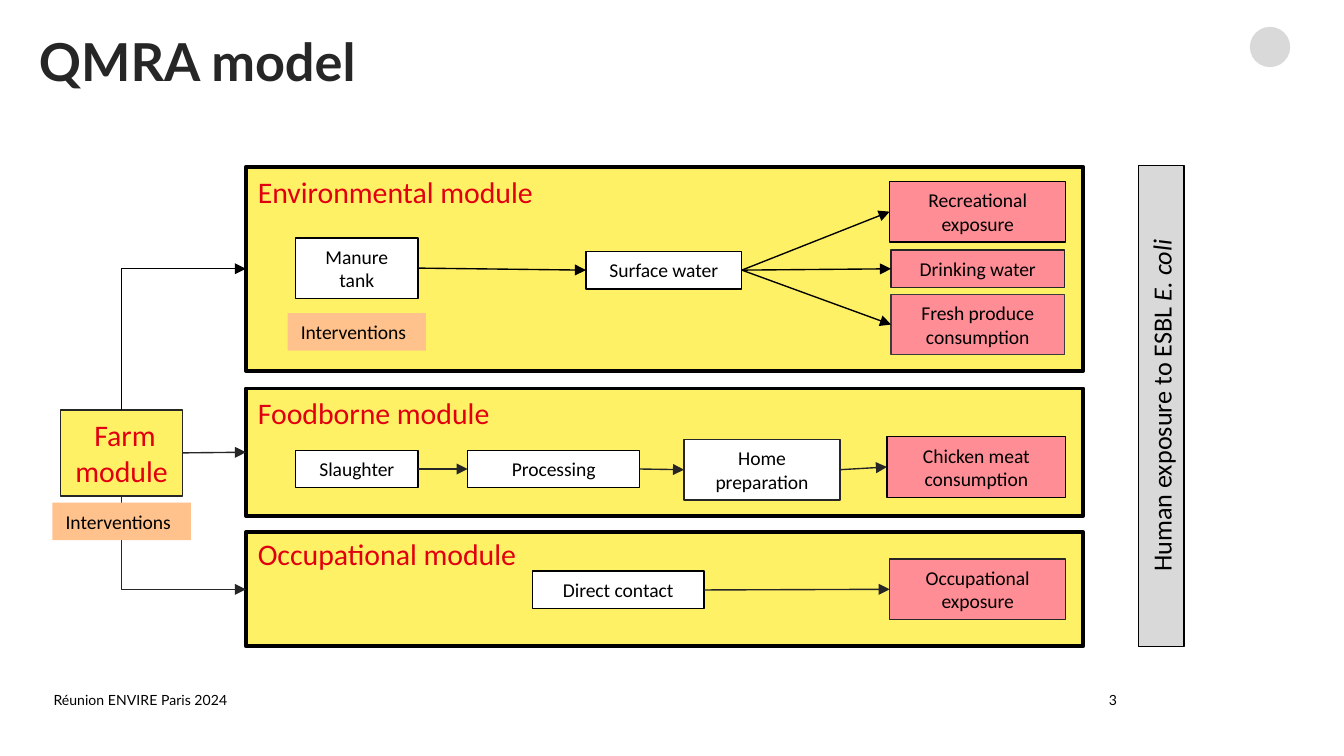
from lxml.etree import SubElement
from pptx import Presentation
from pptx.dml.color import RGBColor
from pptx.enum.shapes import MSO_CONNECTOR as Connector, MSO_SHAPE as Shape
from pptx.enum.text import MSO_ANCHOR as Anchor, PP_ALIGN as Align
from pptx.oxml.ns import qn
from pptx.util import Inches, Pt

COLORS = {
    "yellow": "FFF166", "pink": "FF8D95", "orange": "FFC28C", "white": "FFFFFF",
    "grey": "D9D9D9", "red": "E1000F", "dark": "262626", "slate": "3C3C3C",
    "black": "000000",
}
TOP, LEFT, BOTTOM, RIGHT = range(4)


def color(name):
    """Return the named palette colour."""
    return RGBColor.from_string(COLORS[name])


def write(shape, text, size, font="Calibri", ink="black", align=Align.CENTER,
          anchor=Anchor.MIDDLE):
    """Fill a shape with one formatted paragraph and return the paragraph."""
    frame = shape.text_frame
    frame.text = text
    frame.word_wrap = True
    frame.vertical_anchor = anchor
    paragraph = frame.paragraphs[0]
    paragraph.alignment = align
    for run in paragraph.runs:
        run.font.size = Pt(size)
        run.font.name = font
        run.font.color.rgb = color(ink)
    return paragraph


def add_label(slide, box, text, size, **style):
    """Add a text box and return its paragraph."""
    shape = slide.shapes.add_textbox(*map(Inches, box))
    style = {"align": Align.LEFT, "anchor": Anchor.TOP, **style}
    return write(shape, text, size, **style)


def add_box(slide, box, fill, line="black", weight=0.75, kind=Shape.RECTANGLE):
    """Add a flat shape, outlined unless line is None."""
    shape = slide.shapes.add_shape(kind, *map(Inches, box))
    shape.shadow.inherit = False
    shape.fill.solid()
    shape.fill.fore_color.rgb = color(fill)
    if line:
        shape.line.color.rgb = color(line)
        shape.line.width = Pt(weight)
    else:
        shape.line.fill.background()
    return shape


def add_step(slide, box, text, fill="white", line="black"):
    """Add a small captioned box of the flow."""
    shape = add_box(slide, box, fill, line)
    write(shape, text, 10.5)
    return shape


def add_interventions(slide, left, top):
    """Add the orange interventions tag."""
    shape = add_box(slide, (left, top, 1.03, 0.28), "orange", None)
    write(shape, "Interventions", 10.5, align=Align.LEFT)


def add_arrow(slide, source, target, ink="dark", side=RIGHT, kind=Connector.STRAIGHT):
    """Connect a side of the source to the left side of the target."""
    arrow = slide.shapes.add_connector(kind, 0, 0, 0, 0)
    arrow.begin_connect(source, side)
    arrow.end_connect(target, LEFT)
    arrow.line.color.rgb = color(ink)
    arrow.line.width = Pt(0.75)
    SubElement(arrow.line._get_or_add_ln(), qn("a:tailEnd"), type="triangle")
    SubElement(arrow._element.spPr, qn("a:effectLst"))
    return arrow


def add_elbow(slide, source, target, side, ink):
    """Add a one-bend arrow that leaves the source vertically."""
    arrow = add_arrow(slide, source, target, ink, side, Connector.ELBOW)
    center_x = arrow.left + arrow.width // 2
    center_y = arrow.top + arrow.height // 2
    arrow.width, arrow.height = arrow.height, arrow.width
    arrow.left = center_x - arrow.width // 2
    arrow.top = center_y - arrow.height // 2
    properties = arrow._element.spPr
    properties.find(qn("a:prstGeom")).set("prst", "bentConnector2")
    transform = properties.find(qn("a:xfrm"))
    transform.set("rot", str((90 if side == TOP else 270) * 60000))
    transform.set("flipH", "1")
    transform.set("flipV", "1" if side == TOP else "0")


def add_module(slide, box, title, title_width, title_shift=0):
    """Add a yellow module panel with its red heading."""
    left, top = box[:2]
    panel = add_box(slide, box, "yellow", weight=2)
    heading = (left - 0.01, top + title_shift, title_width, 0.37)
    add_label(slide, heading, title, 16, ink="red")
    return panel


def add_environmental(slide, box):
    """Build the environmental module and return its panel."""
    left, top = box[:2]
    panel = add_module(slide, box, "Environmental module", 2.34)
    tank = add_step(slide, (left + 0.37, top + 0.53, 0.91, 0.45), "Manure tank")
    water = add_step(slide, (left + 2.53, top + 0.63, 1.16, 0.28), "Surface water")
    add_interventions(slide, left + 0.31, top + 1.09)
    add_arrow(slide, tank, water, "black")
    exposures = [
        ("Recreational exposure", 4.79, 0.11, 1.31, 0.45, "black"),
        ("Drinking water", 4.8, 0.62, 1.29, 0.28, "dark"),
        ("Fresh produce consumption", 4.8, 0.95, 1.29, 0.45, "slate"),
    ]
    for text, x, y, width, height, line in exposures:
        exposure = add_step(slide, (left + x, top + y, width, height), text, "pink", line)
        add_arrow(slide, water, exposure, "black")
    return panel


def add_foodborne(slide, box):
    """Build the foodborne module and return its panel."""
    left, top = box[:2]
    panel = add_module(slide, box, "Foodborne module", 2.08)
    steps = [
        ("Slaughter", 0.37, 0.46, 0.91, 0.28, "white", "black"),
        ("Processing", 1.65, 0.46, 1.28, 0.28, "white", "black"),
        ("Home preparation", 3.26, 0.38, 1.16, 0.45, "white", "dark"),
        ("Chicken meat consumption", 4.77, 0.36, 1.33, 0.45, "pink", "black"),
    ]
    shapes = [add_step(slide, (left + x, top + y, width, height), text, fill, line)
              for text, x, y, width, height, fill, line in steps]
    for source, target in zip(shapes, shapes[1:]):
        add_arrow(slide, source, target)
    return panel


def add_occupational(slide, box):
    """Build the occupational module and return its panel."""
    left, top = box[:2]
    panel = add_module(slide, box, "Occupational module", 3.23, -0.02)
    contact = add_step(slide, (left + 2.13, top + 0.29, 1.28, 0.28), "Direct contact")
    exposure = add_step(slide, (left + 4.79, top + 0.2, 1.31, 0.45),
                        "Occupational exposure", "pink", "dark")
    add_arrow(slide, contact, exposure)
    return panel


def add_farm(slide, box, environmental, foodborne, occupational):
    """Build the farm module and link it to the three others."""
    left, top, width, height = box
    farm = add_box(slide, box, "yellow", "dark")
    write(farm, " Farm module", 16, ink="red")
    add_elbow(slide, farm, environmental, TOP, "black")
    add_arrow(slide, farm, foodborne)
    add_elbow(slide, farm, occupational, BOTTOM, "dark")
    add_interventions(slide, left - 0.06, top + height + 0.05)


def add_exposure_bar(slide, box):
    """Add the vertical bar naming the overall outcome."""
    left, top, width, height = box
    flat = (left + (width - height) / 2, top + (height - width) / 2, height, width)
    bar = add_box(slide, flat, "grey")
    bar.rotation = 270
    paragraph = write(bar, "Human exposure to ESBL ", 14)
    species = paragraph.add_run()
    species.text = "E. coli"
    species.font.size = Pt(14)
    species.font.name = "Calibri"
    species.font.italic = True
    species.font.color.rgb = color("black")


def add_page_frame(slide, box):
    """Add the title, emblem, footer and page number."""
    left, top, width, height = box
    title = slide.shapes.add_textbox(*map(Inches, (left + 0.29, top + 0.27, 8.92, 0.7)))
    frame = title.text_frame
    frame.margin_left = frame.margin_right = frame.margin_top = frame.margin_bottom = 0
    paragraph = write(title, "QMRA model", 28, "Lato", "dark", Align.LEFT, Anchor.TOP)
    paragraph.line_spacing = 0.9
    paragraph.runs[0].font.bold = True
    add_box(slide, (left + width - 0.7, top + 0.2, 0.3, 0.3), "grey", None, kind=Shape.OVAL)
    footer_top = top + height - 0.52
    add_label(slide, (left + 0.3, footer_top, 3.38, 0.23),
              "Réunion ENVIRE Paris 2024", 7.5, font="Lato")
    add_label(slide, (left + 6.93, footer_top, 1.48, 0.23), "3", 7.5,
              font="Lato", align=Align.RIGHT)


def main():
    """Build and save the slide."""
    presentation = Presentation()
    presentation.slide_width = Inches(10)
    presentation.slide_height = Inches(10) * 9 // 16
    slide = presentation.slides.add_slide(presentation.slide_layouts[6])
    add_page_frame(slide, (0, 0, 10, 5.62))
    environmental = add_environmental(slide, (1.83, 1.24, 6.23, 1.52))
    foodborne = add_foodborne(slide, (1.83, 2.89, 6.23, 0.95))
    occupational = add_occupational(slide, (1.83, 3.96, 6.23, 0.85))
    add_farm(slide, (0.45, 3.05, 0.91, 0.64), environmental, foodborne, occupational)
    add_exposure_bar(slide, (8.47, 1.23, 0.34, 3.58))
    presentation.save("out.pptx")


if __name__ == "__main__":
    main()
